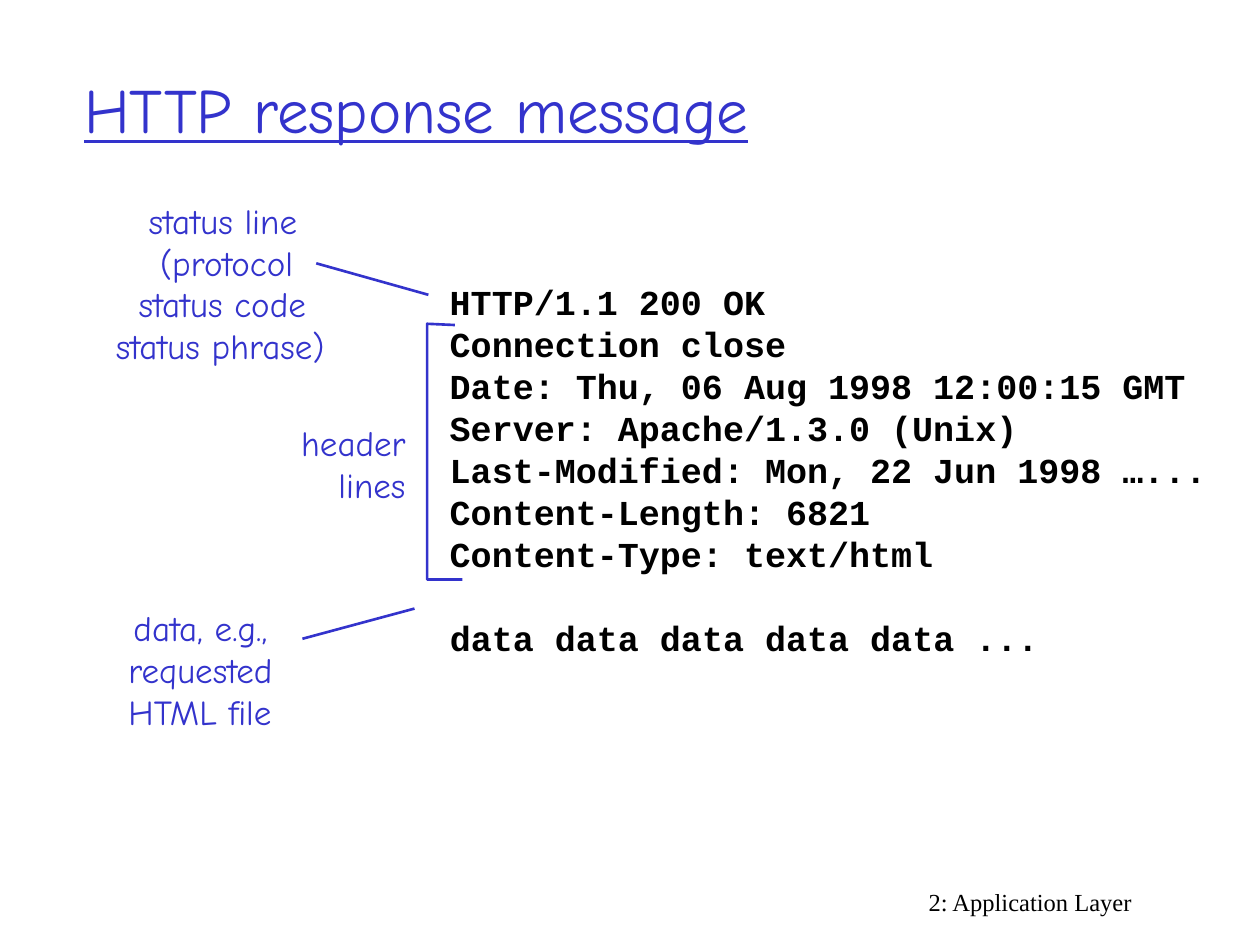
from pptx import Presentation
from pptx.dml.color import RGBColor
from pptx.enum.shapes import MSO_CONNECTOR
from pptx.enum.text import MSO_ANCHOR, MSO_AUTO_SIZE, PP_ALIGN
from pptx.oxml.ns import qn
from pptx.util import Inches, Pt
from lxml import etree

BLUE = RGBColor(0x33, 0x33, 0xCC)
BLACK = RGBColor(0, 0, 0)
LEFT, RIGHT = PP_ALIGN.LEFT, PP_ALIGN.RIGHT
TOP = MSO_ANCHOR.TOP
NO_AUTOFIT = MSO_AUTO_SIZE.NONE
STRAIGHT = MSO_CONNECTOR.STRAIGHT
COMIC, COURIER, TIMES = "Comic Neue", "Courier New", "Times New Roman"

RESPONSE = [
    "HTTP/1.1 200 OK",
    "Connection close",
    "Date: Thu, 06 Aug 1998 12:00:15 GMT",
    "Server: Apache/1.3.0 (Unix)",
    "Last-Modified: Mon, 22 Jun 1998 …...",
    "Content-Length: 6821",
    "Content-Type: text/html",
]
BODY = ["data data data data data ..."]


def fill_text(sp, box, lines, font=COMIC, size=20, color=BLUE, bold=False,
              underline=False, align=LEFT, pitch=24, before=1, margin=0.01, indent=0):
    """Place a text shape and write one formatted paragraph per line."""
    sp.left, sp.top, sp.width, sp.height = map(Inches, box)
    tf = sp.text_frame
    tf.margin_left = tf.margin_right = tf.margin_bottom = 0
    tf.margin_top = Inches(0.01) + Pt(before)
    tf.word_wrap = True
    tf.auto_size = NO_AUTOFIT
    tf.vertical_anchor = TOP
    tf.text = "\n".join(lines)
    for p in tf.paragraphs:
        pPr = p._p.get_or_add_pPr()
        pPr.set("marL", str(Inches(margin)))
        pPr.set("indent", str(Inches(indent)))
        p.alignment = align
        p.line_spacing = Pt(pitch)
        p.space_before = Pt(0)
        p.font.name, p.font.size = font, Pt(size)
        p.font.bold, p.font.underline = bold, underline
        p.font.color.rgb = color


def add_text(s, box, lines, **style):
    """Add a text box."""
    fill_text(s.shapes.add_textbox(0, 0, 0, 0), box, lines, **style)


def add_pointer(s, *ends):
    """Add a straight blue line from a label to the message."""
    line = s.shapes.add_connector(STRAIGHT, *map(Inches, ends))
    line.line.color.rgb = BLUE
    line.line.width = Pt(1.5)
    etree.SubElement(line._element.spPr, qn("a:effectLst"))


def add_bracket(s, points):
    """Add an open blue outline through the points."""
    start, *rest = [(Inches(x), Inches(y)) for x, y in points]
    builder = s.shapes.build_freeform(*start)
    builder.add_line_segments(rest, close=False)
    sp = builder.convert_to_shape()
    sp.shadow.inherit = False
    sp.fill.background()
    sp.line.color.rgb = BLUE
    sp.line.width = Pt(1.5)


def main():
    """Build the slide and save it."""
    prs = Presentation()
    prs.slide_width, prs.slide_height = Inches(10), Inches(7.5)
    s = prs.slides.add_slide(prs.slide_layouts[5])

    fill_text(s.shapes.title, (0.66, 0.54, 5.65, 0.63), ["HTTP response message"],
              size=36, underline=True, pitch=43)

    code = {"font": COURIER, "color": BLACK, "bold": True}
    add_text(s, (3.56, 2.2, 6.03, 2.36), RESPONSE, **code)
    add_text(s, (3.56, 4.87, 4.69, 0.36), BODY, **code)

    add_text(s, (1.17, 1.56, 1.38, 0.69), ["status line\v(protocol"],
             margin=0.1, indent=-0.09)
    add_text(s, (0.91, 2.22, 1.9, 0.69), ["status code\vstatus phrase)"], indent=0.18)
    add_pointer(s, 2.51, 2.09, 3.4, 2.34)

    add_bracket(s, [(3.61, 2.58), (3.39, 2.57), (3.39, 4.6), (3.67, 4.6)])
    add_text(s, (2.29, 3.32, 0.93, 0.69), ["header", "lines"], align=RIGHT, margin=0)

    add_pointer(s, 2.4, 5.07, 3.29, 4.83)
    add_text(s, (1.01, 4.79, 1.36, 1.03), ["data, e.g.,\vrequested\vHTML file"], indent=0.04)

    add_text(s, (7.36, 7.04, 1.65, 0.24), ["2: Application Layer"],
             font=TIMES, size=14, color=BLACK, pitch=16.3, before=0)
    prs.save("out.pptx")


if __name__ == "__main__":
    main()
